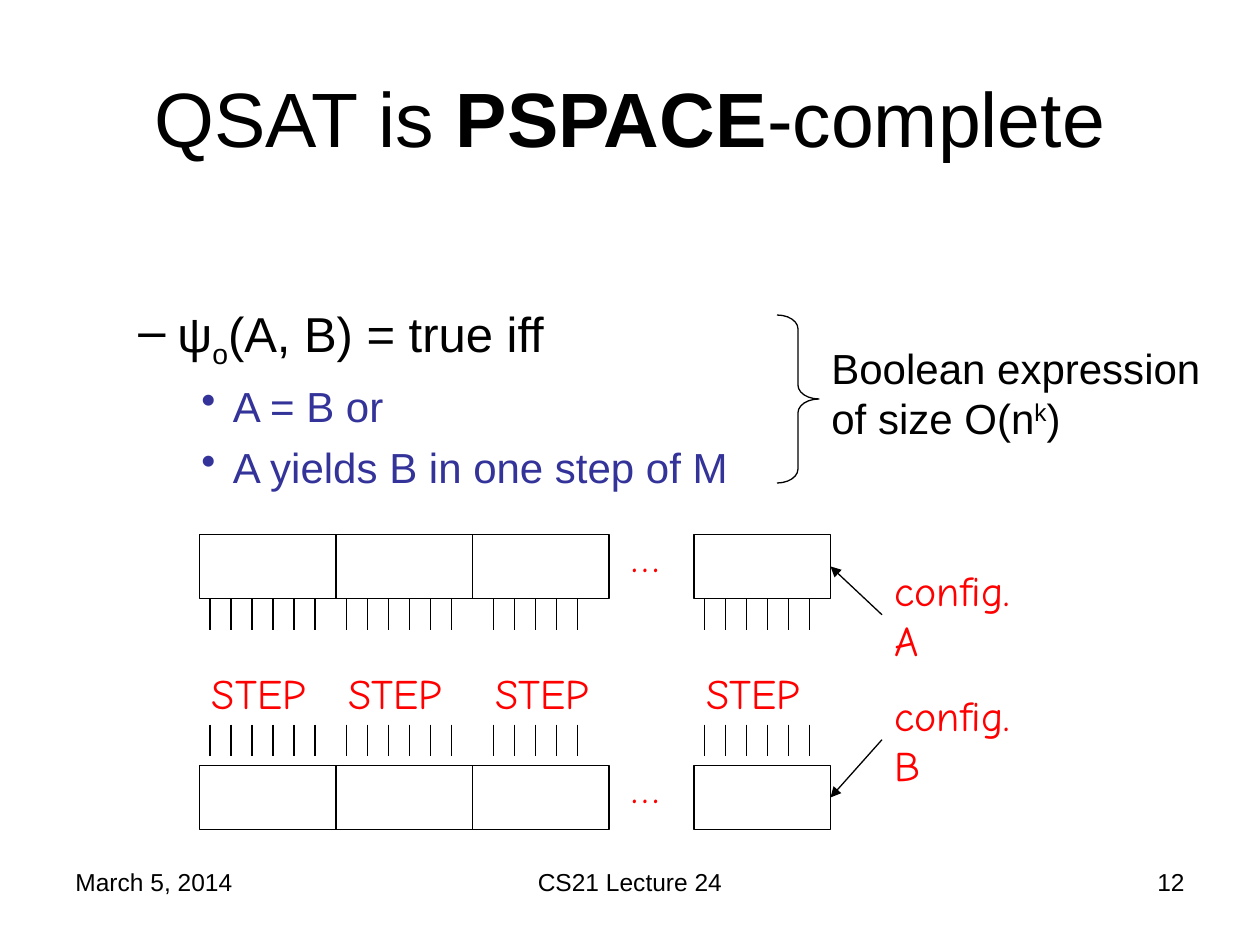
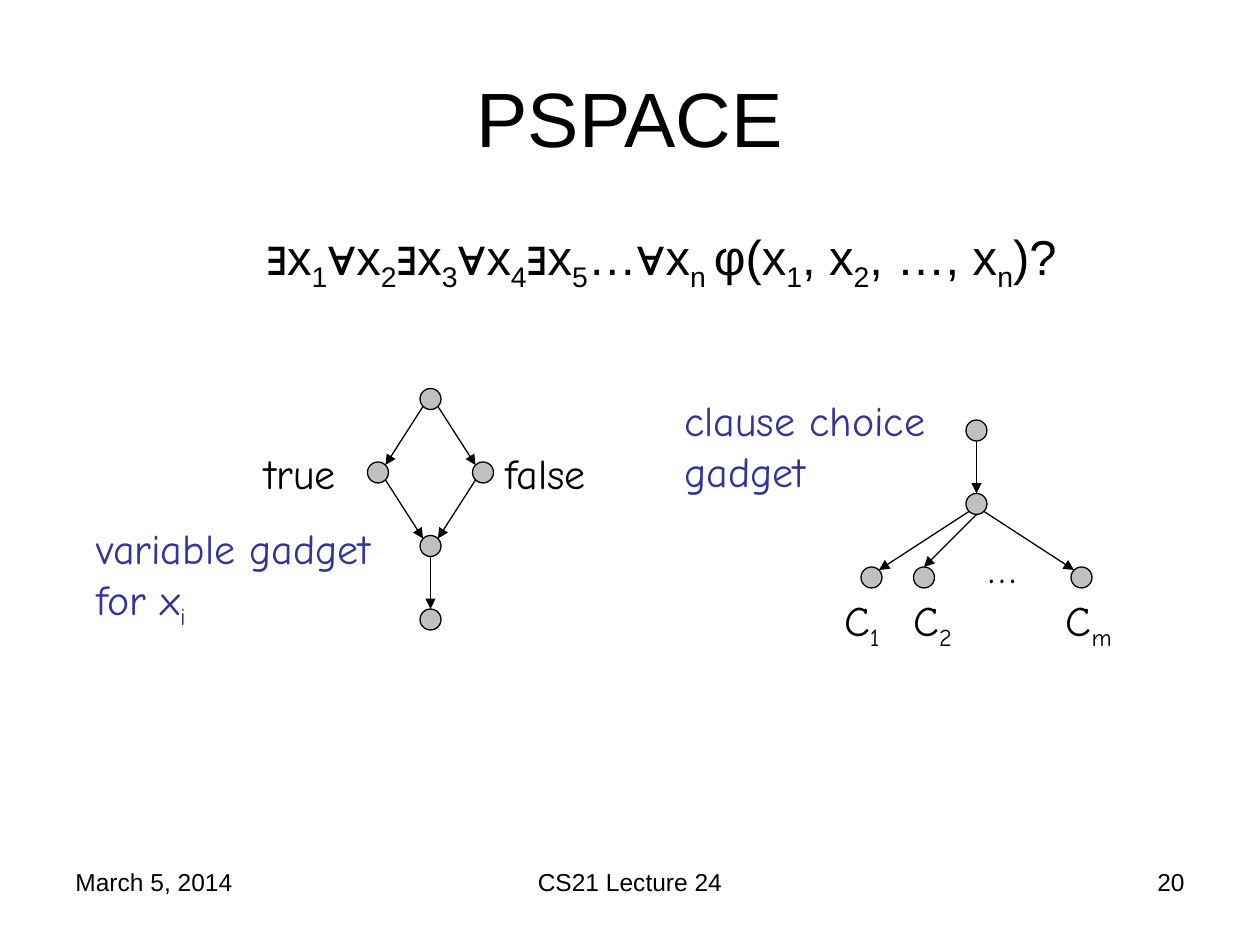
from dataclasses import dataclass

from lxml.etree import SubElement
from pptx import Presentation
from pptx.dml.color import RGBColor
from pptx.enum.shapes import MSO_CONNECTOR, MSO_SHAPE
from pptx.enum.text import MSO_ANCHOR, PP_ALIGN
from pptx.oxml.ns import qn
from pptx.util import Inches, Pt

COLUMNS, ROWS = 120, 90
WIDTH, HEIGHT = Inches(10), Inches(7.5)
SUBSCRIPT = {"baseline": "-25000"}
SUPERSCRIPT = {"baseline": "30000"}
BOLD = {"b": "1"}


@dataclass(frozen=True)
class Theme:
    """Colours, fonts, type sizes and line width of the deck."""
    ink: str = "000000"
    accent: str = "333399"
    alert: str = "FF0000"
    node: str = "C0C0C0"
    body_font: str = "Arial"
    hand_font: str = "Comic Neue"
    title: int = 44
    formula: int = 28
    label: int = 24
    footer: int = 14
    line: float = 0.75


THEME = Theme()


@dataclass(frozen=True)
class Box:
    """An area of the page in grid columns and rows."""
    left: float
    top: float
    width: float
    height: float

    def inner(self, left, top, width, height):
        """Return an area placed relative to this one."""
        return Box(self.left + left, self.top + top, width, height)

    def point(self, across, down):
        """Return a grid point placed relative to this area."""
        return self.left + across, self.top + down

    def frame(self):
        """Return the area as slide lengths."""
        return (across(self.left), down(self.top),
                across(self.width), down(self.height))


def across(columns):
    """Convert grid columns to a slide length."""
    return round(WIDTH * columns / COLUMNS)


def down(rows):
    """Convert grid rows to a slide length."""
    return round(HEIGHT * rows / ROWS)


def write(para, spans, size, color, font, mark=SUBSCRIPT, align=PP_ALIGN.LEFT):
    """Fill a paragraph with spans that are plain and marked by turns."""
    for index, text in enumerate(spans):
        span = para.add_run()
        span.text = text
        if index % 2:
            for name, value in mark.items():
                span._r.get_or_add_rPr().set(name, value)
    para.alignment = align
    para.font.size = Pt(size)
    para.font.name = font
    para.font.color.rgb = RGBColor.from_string(color)


def text_frame(page, box, wrap=True):
    """Add an empty text box and return its frame."""
    frame = page.shapes.add_textbox(*box.frame()).text_frame
    frame.word_wrap = wrap
    return frame


def add_text(page, box, *spans, size=THEME.label, color=THEME.ink,
             font=THEME.body_font, wrap=True, **style):
    """Add a text box of one paragraph and return its frame."""
    frame = text_frame(page, box, wrap)
    write(frame.paragraphs[0], spans, size, color, font, **style)
    return frame


def add_label(page, box, *spans, **style):
    """Add a handwritten label."""
    return add_text(page, box, *spans, font=THEME.hand_font, **style)


def indent(para, margin, hanging):
    """Set a hanging indent in inches."""
    properties = para._p.get_or_add_pPr()
    properties.set("marL", str(Inches(margin)))
    properties.set("indent", str(-Inches(hanging)))


def add_bullet(para, mark, color):
    """Give a paragraph a coloured bullet."""
    properties = para._p.get_or_add_pPr()
    bullet_color = SubElement(properties, qn("a:buClr"))
    SubElement(bullet_color, qn("a:srgbClr"), val=color)
    SubElement(properties, qn("a:buChar"), char=mark)


def add_outline(page, preset, box, fill=None):
    """Add a preset shape with a thin dark outline."""
    shape = page.shapes.add_shape(preset, *box.frame())
    shape.shadow.inherit = False
    if fill:
        shape.fill.solid()
        shape.fill.fore_color.rgb = RGBColor.from_string(fill)
    else:
        shape.fill.background()
    shape.line.color.rgb = RGBColor.from_string(THEME.ink)
    shape.line.width = Pt(THEME.line)
    return shape


def add_line(page, start, end, arrow=False):
    """Add a thin straight line, with an arrowhead at its end if asked."""
    line = page.shapes.add_connector(
        MSO_CONNECTOR.STRAIGHT, across(start[0]), down(start[1]),
        across(end[0]), down(end[1]))
    line.line.color.rgb = RGBColor.from_string(THEME.ink)
    line.line.width = Pt(THEME.line)
    properties = line._element.spPr
    if arrow:
        SubElement(properties.find(qn("a:ln")), qn("a:tailEnd"), type="triangle")
    SubElement(properties, qn("a:effectLst"))
    return line


def add_page(deck, number, *title):
    """Add a page with its title and footer."""
    page = deck.slides.add_slide(deck.slide_layouts[6])
    footer = Box(6, 82, 108, 6.25)
    for left, width, text, align in (
            (0, 28, "March 5, 2014", PP_ALIGN.LEFT),
            (35, 38, "CS21 Lecture 24", PP_ALIGN.CENTER),
            (80, 28, number, PP_ALIGN.RIGHT)):
        add_text(page, footer.inner(left, 0, width, footer.height), text,
                 size=THEME.footer, align=align)
    frame = add_text(page, Box(6, 3.6, 108, 15), *title, size=THEME.title,
                     mark=BOLD, align=PP_ALIGN.CENTER)
    frame.vertical_anchor = MSO_ANCHOR.MIDDLE
    return page


def base_case(page, box):
    """Write the base case of the recursion with its bullets."""
    frame = text_frame(page, box)
    levels = (
        (("ψ", "o", "(A, B) = true iff"), "–", 0.81, 0.31, 0,
         THEME.formula, THEME.ink),
        (("A = B or",), "•", 1.25, 0.25, 6, THEME.label, THEME.accent),
        (("A yields B in one step of M",), "•", 1.25, 0.25, 6,
         THEME.label, THEME.accent))
    for index, (spans, mark, margin, hanging, gap, size, color) in enumerate(levels):
        para = frame.add_paragraph() if index else frame.paragraphs[0]
        para.space_before = Pt(gap)
        indent(para, margin, hanging)
        add_bullet(para, mark, color)
        write(para, spans, size, color, THEME.body_font)


def size_note(page, box):
    """Bracket the base case and state its size."""
    brace = add_outline(page, MSO_SHAPE.RIGHT_BRACE, box.inner(0, 0, 4, box.height))
    brace.adjustments[0] = 0.33
    add_text(page, box.inner(4, 2, 39, 10.8),
             "Boolean expression of size O(n", "k", ")", mark=SUPERSCRIPT)


def tape(page, box, name, name_top):
    """Draw the cells of one configuration and point its name at the last."""
    for left in (0, 13, 26, 47.1):
        cell = add_outline(page, MSO_SHAPE.RECTANGLE,
                           box.inner(left, 0, 13, box.height))
    add_label(page, box.inner(40, -1, 5, 6), "…", color=THEME.alert, wrap=False)
    add_label(page, box.inner(65, name_top, 16, 10.8), name, color=THEME.alert)
    arrow = add_line(page, box.point(65, name_top + 5.4),
                     box.point(60.1, box.height / 2), arrow=True)
    arrow.end_connect(cell, 3)


def step_wires(page, box):
    """Draw the STEP circuits with their wires above and below."""
    for label, first, count in ((0, 1, 6), (13, 14, 6), (27, 28, 5), (47.1, 48.1, 6)):
        add_label(page, box.inner(label, 6, 16, 6), "STEP", color=THEME.alert)
        for wire in range(count):
            left = first + 2 * wire
            for top in (0, 12):
                add_line(page, box.point(left, top), box.point(left, top + 3))


def gadget_graph(page, box, nodes, edges):
    """Draw round nodes and the arrows that lean left, straight or right."""
    for left, top in nodes.values():
        add_outline(page, MSO_SHAPE.OVAL, box.inner(left, top, 2, 2), THEME.node)
    for source, target, lean in edges:
        rise = 0.71 if lean else 1
        shift = 0.71 * lean
        (left, top), (end_left, end_top) = nodes[source], nodes[target]
        add_line(page, box.point(left + 1 + shift, top + 1 + rise),
                 box.point(end_left + 1 - shift, end_top + 1 - rise), arrow=True)


def variable_gadget(page, box):
    """Draw the diamond that picks the value of a variable."""
    nodes = {"start": (32, 0), "true": (27, 7), "false": (37, 7),
             "join": (32, 14), "end": (32, 21)}
    edges = (("start", "true", -1), ("start", "false", 1),
             ("true", "join", 1), ("false", "join", -1), ("join", "end", 0))
    gadget_graph(page, box, nodes, edges)
    add_label(page, box.inner(16, 5, 12, 6), "true")
    add_label(page, box.inner(39, 5, 12, 6), "false")
    add_label(page, box.inner(0, 12.2, 29, 11.5), "variable gadget for x", "i",
              color=THEME.accent)


def clause_gadget(page, box):
    """Draw the branching that picks a clause."""
    nodes = {"root": (28, 3), "choice": (28, 10), "first": (18, 17),
             "second": (23, 17), "last": (38, 17)}
    edges = (("root", "choice", 0), ("choice", "first", -1),
             ("choice", "last", 1), ("choice", "second", 0))
    gadget_graph(page, box, nodes, edges)
    add_label(page, box.inner(0, 0, 35, 10.8), "clause choice gadget",
              color=THEME.accent)
    add_label(page, box.inner(29, 14, 9, 6), "…")
    names = text_frame(page, box.inner(15.2, 19, 32.8, 6.7)).paragraphs[0]
    stops = SubElement(names._p.get_or_add_pPr(), qn("a:tabLst"))
    for stop in (0.55, 1.76):
        SubElement(stops, qn("a:tab"), pos=str(Inches(stop)), algn="l")
    write(names, ("C", "1", "\tC", "2", "\tC", "m"), THEME.label,
          THEME.ink, THEME.hand_font)


def quantified_formula(page, box):
    """Write the quantified formula in the middle of its box."""
    para = text_frame(page, box).paragraphs[0]
    indent(para, 0.81, 0.31)
    spans = ("∃x", "1", "∀x", "2", "∃x", "3", "∀x", "4", "∃x", "5",
             "…∀x", "n ", "φ(x", "1", ", x", "2", ", …, x", "n", ")?")
    write(para, spans, THEME.formula, THEME.ink, THEME.body_font,
          align=PP_ALIGN.CENTER)


def completeness_page(deck):
    """Build the page on the base case of the reduction."""
    page = add_page(deck, "12", "QSAT is ", "PSPACE", "-complete")
    base_case(page, Box(6, 28.3, 108, 20))
    size_note(page, Box(74, 30, 43, 16))
    tape(page, Box(19, 50.9, 60.1, 6.1), "config. A", 2.25)
    tape(page, Box(19, 72.9, 60.1, 6.1), "config. B", -7.85)
    step_wires(page, Box(19, 57, 60.1, 15))


def gadgets_page(deck):
    """Build the page on the variable and clause gadgets."""
    page = add_page(deck, "20", "PSPACE")
    quantified_formula(page, Box(6, 21, 108, 8))
    variable_gadget(page, Box(8, 37, 51, 24))
    clause_gadget(page, Box(64, 37, 48, 26))


def main():
    """Build and save the deck."""
    deck = Presentation()
    deck.slide_width, deck.slide_height = WIDTH, HEIGHT
    completeness_page(deck)
    gadgets_page(deck)
    deck.save("out.pptx")


if __name__ == "__main__":
    main()
